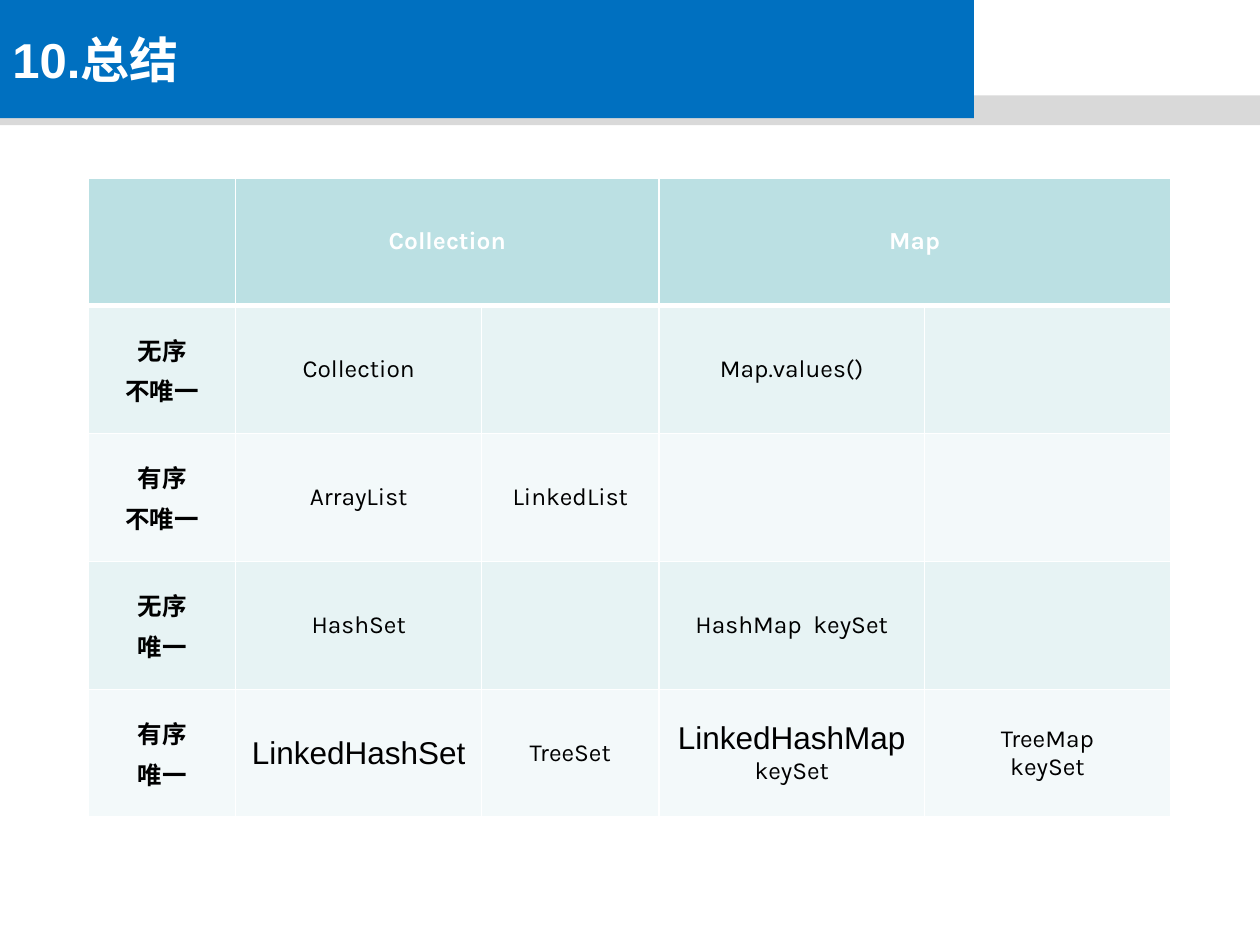
from lxml import etree
from pptx import Presentation
from pptx.dml.color import RGBColor
from pptx.enum import shapes, text
from pptx.oxml import ns
from pptx.util import Pt

TITLE = "10.总结"
BANDS = [
    ("D9D9D9", 0, 54.5, 720, 17),
    ("0070C0", 0, 0, 556.6, 67.5),
]
ROWS = [
    ["", "Collection", "", "Map", ""],
    ["无序\n不唯一", "Collection", "", "Map.values()", ""],
    ["有序\n不唯一", "ArrayList", "LinkedList", "", ""],
    ["无序\n唯一", "HashSet", "", "HashMap  keySet", ""],
    ["有序\n唯一", "LinkedHashSet", "TreeSet", "LinkedHashMap\nkeySet", "TreeMap\nkeySet"],
]
LARGE_WORDS = {"LinkedHashSet", "LinkedHashMap"}
HEADER_SPANS = [(1, 2), (3, 4)]
COLUMN_WIDTHS = [84.1, 140.6, 101.3, 151.8, 140.4]
ROW_HEIGHT = 73.1
TABLE_LEFT, TABLE_TOP = 50.6, 101.6
HEADER_FILL = "BBE0E3"
BODY_FILLS = ["E7F3F4", "F3F9FA"]


def color(value):
    return RGBColor.from_string(value)


def paint(target, value):
    target.fill.solid()
    target.fill.fore_color.rgb = color(value)


def write(paragraph, words, size=14, font="Karla", ink="000000", bold=False,
          align=text.PP_ALIGN.CENTER, before=0):
    paragraph.alignment = align
    paragraph.space_before = Pt(before)
    run = paragraph.add_run()
    run.text = words
    run.font.size = Pt(size)
    run.font.name = font
    run.font.bold = bold
    run.font.color.rgb = color(ink)


def add_borders(cell, bottom):
    properties = cell._tc.get_or_add_tcPr()
    widths = {"lnL": 1, "lnR": 1, "lnT": 1, "lnB": bottom}
    for position, (side, width) in enumerate(widths.items()):
        line = etree.Element(ns.qn(f"a:{side}"), w=str(Pt(width)))
        fill = etree.SubElement(line, ns.qn("a:solidFill"))
        etree.SubElement(fill, ns.qn("a:srgbClr"), val="FFFFFF")
        properties.insert(position, line)


def add_band(slide, fill, *box):
    band = slide.shapes.add_shape(shapes.MSO_SHAPE.RECTANGLE, *map(Pt, box))
    band.shadow.inherit = False
    band.line.fill.background()
    paint(band, fill)
    return band


def fill_cell(cell, words, row, column):
    header = row == 0
    cell.vertical_anchor = text.MSO_ANCHOR.MIDDLE
    paint(cell, HEADER_FILL if header else BODY_FILLS[(row - 1) % 2])
    add_borders(cell, 3 if header else 1)
    if not words:
        return
    for index, line in enumerate(words.split("\n")):
        paragraph = cell.text_frame.paragraphs[0] if index == 0 else cell.text_frame.add_paragraph()
        large = line in LARGE_WORDS
        size = 18 if large else 14
        write(paragraph, line, size=size, font="Arial" if large else "Karla",
              ink="FFFFFF" if header else "000000", bold=header or column == 0,
              before=0.2 * size if index == 0 or column == 0 else 0)


def add_summary_table(slide):
    frame = slide.shapes.add_table(
        len(ROWS), len(COLUMN_WIDTHS), Pt(TABLE_LEFT), Pt(TABLE_TOP),
        Pt(sum(COLUMN_WIDTHS)), Pt(ROW_HEIGHT * len(ROWS)))
    table = frame.table
    for column, width in zip(table.columns, COLUMN_WIDTHS):
        column.width = Pt(width)
    for row in table.rows:
        row.height = Pt(ROW_HEIGHT)
    for first, last in HEADER_SPANS:
        table.cell(0, first).merge(table.cell(0, last))
    for row, values in enumerate(ROWS):
        for column, words in enumerate(values):
            fill_cell(table.cell(row, column), words, row, column)


def main():
    presentation = Presentation()
    presentation.slide_width, presentation.slide_height = Pt(720), Pt(540)
    slide = presentation.slides.add_slide(presentation.slide_layouts[6])
    gray_band, title_band = [add_band(slide, *band) for band in BANDS]
    title_band.text_frame.word_wrap = True
    title_band.text_frame.vertical_anchor = text.MSO_ANCHOR.MIDDLE
    write(title_band.text_frame.paragraphs[0], TITLE, size=28, font="Arial",
          ink="FFFFFF", bold=True, align=text.PP_ALIGN.LEFT)
    add_summary_table(slide)
    presentation.save("out.pptx")


if __name__ == "__main__":
    main()
